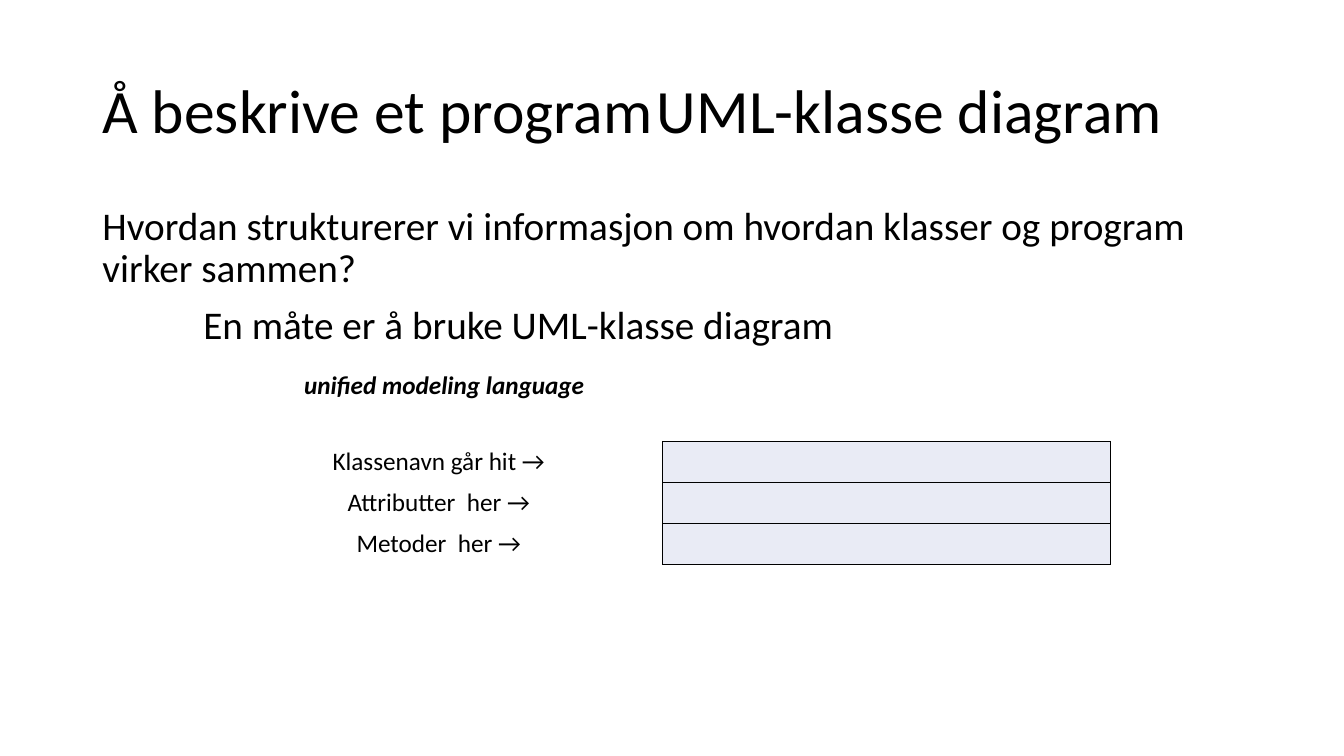
import pptx
import pptx.dml.color
import pptx.enum.text
import pptx.oxml
import pptx.util
from pptx.oxml.ns import nsdecls

Pt = pptx.util.Pt
Align = pptx.enum.text.PP_ALIGN
Anchor = pptx.enum.text.MSO_ANCHOR

TITLE = "Å beskrive et program\tUML-klasse diagram"
# text, indent, size, space before, emphasis
BODY = [
    ("Hvordan strukturerer vi informasjon om hvordan klasser og program virker sammen?",
     0, 28, 0, False),
    ("En måte er å bruke UML-klasse diagram", 72, 28, 10, False),
    ("unified modeling language", 144, 18, 18, True),
]
CLASS_PARTS = ["Klassenavn går hit →", "Attributter  her →", "Metoder  her →"]
FONT, BLACK, CELL_FILL = "Calibri", "000000", "E9EBF5"
LEFT, WIDTH = 66, 828
COLUMN_WIDTH, ROW_HEIGHT = 320, 29.2


def color(value):
    return pptx.dml.color.RGBColor.from_string(value)


def format_para(para, size, align=Align.LEFT, emphasis=False):
    para.alignment = align
    for span in para.runs:
        span.font.name = FONT
        span.font.size = Pt(size)
        span.font.color.rgb = color(BLACK)
        span.font.bold = span.font.italic = emphasis


def place(box, top, height, anchor):
    box.left, box.top, box.width, box.height = Pt(LEFT), Pt(top), Pt(WIDTH), Pt(height)
    box.text_frame.auto_size = pptx.enum.text.MSO_AUTO_SIZE.NONE
    box.text_frame.vertical_anchor = anchor


def add_borders(cell, sides):
    properties = cell._tc.get_or_add_tcPr()
    for side in sides:
        properties.append(pptx.oxml.parse_xml(
            f'<a:ln{side} {nsdecls("a")} w="{Pt(1)}"><a:solidFill>'
            f'<a:srgbClr val="{BLACK}"/></a:solidFill></a:ln{side}>'))


deck = pptx.Presentation()
deck.slide_width, deck.slide_height = Pt(960), Pt(540)
page = deck.slides.add_slide(deck.slide_layouts[1])

# Title
title = page.shapes.title
place(title, 28.8, 104.4, Anchor.MIDDLE)
title.text_frame.text = TITLE
title.text_frame.paragraphs[0].line_spacing = 0.9
format_para(title.text_frame.paragraphs[0], 44)

# Question and answer
body = page.placeholders[1]
place(body, 144, 342.7, Anchor.TOP)
body.text_frame.text = "\n".join(item[0] for item in BODY)
for para, (_, indent, size, before, emphasis) in zip(body.text_frame.paragraphs, BODY):
    properties = para._p.get_or_add_pPr()
    properties.set("marL", str(Pt(indent)))
    properties.set("indent", "0")
    properties.append(pptx.oxml.parse_xml(f'<a:buNone {nsdecls("a")}/>'))
    para.line_spacing = 0.9
    para.space_before = Pt(before)
    format_para(para, size, emphasis=emphasis)

# Class diagram with labels
table = page.shapes.add_table(
    len(CLASS_PARTS), 2, Pt(153.4), Pt(315.4),
    Pt(2 * COLUMN_WIDTH), Pt(len(CLASS_PARTS) * ROW_HEIGHT)).table
table.first_row = table.horz_banding = False
for column in table.columns:
    column.width = Pt(COLUMN_WIDTH)
for row, label in zip(table.rows, CLASS_PARTS):
    row.height = Pt(ROW_HEIGHT)
    label_cell, class_cell = row.cells
    label_cell.text_frame.text = label
    format_para(label_cell.text_frame.paragraphs[0], 18, Align.CENTER)
    add_borders(label_cell, "R")
    label_cell.fill.background()
    add_borders(class_cell, "LRTB")
    class_cell.fill.solid()
    class_cell.fill.fore_color.rgb = color(CELL_FILL)

deck.save("out.pptx")
